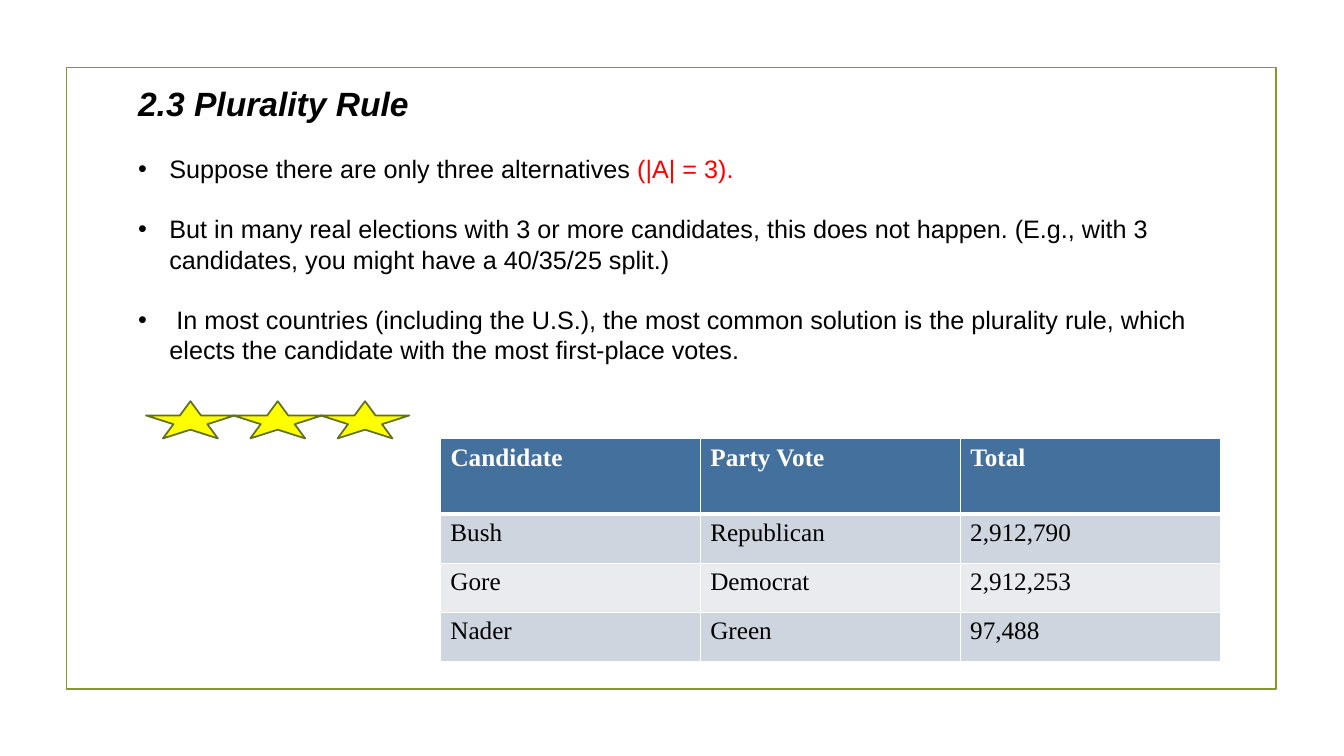
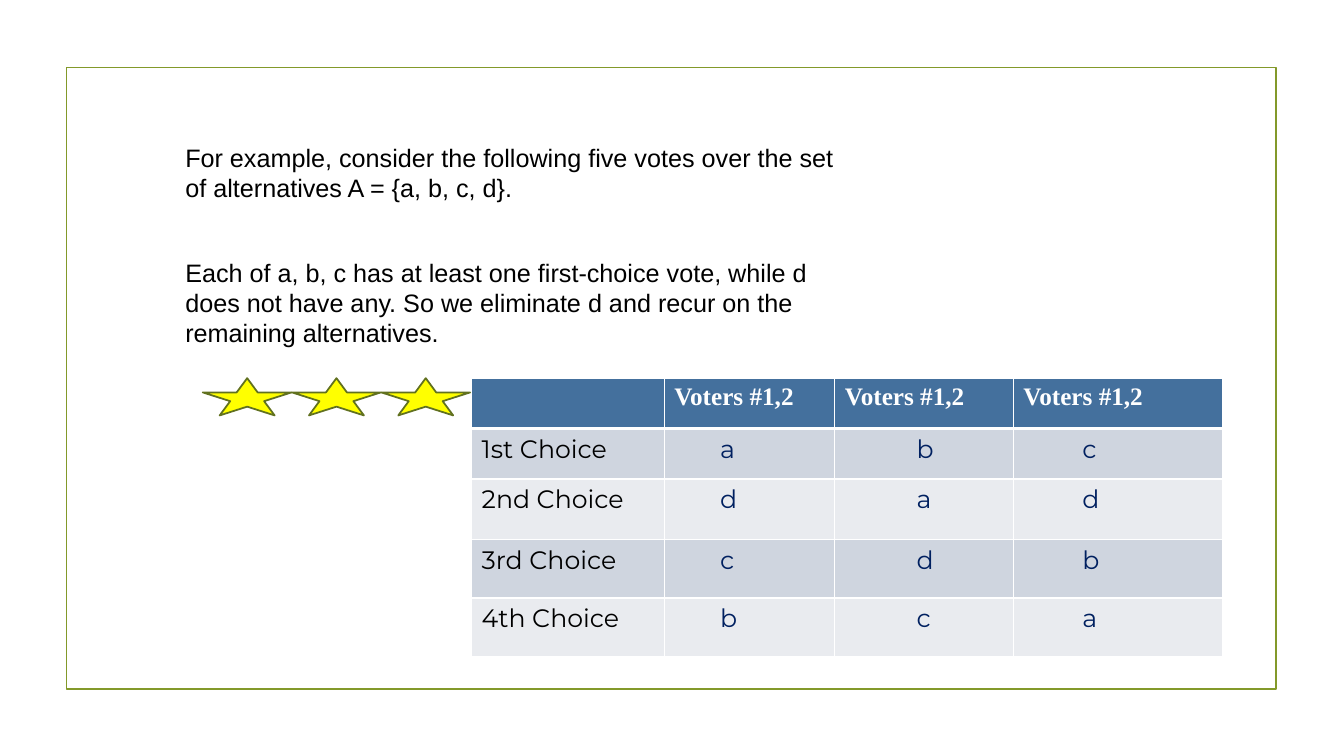
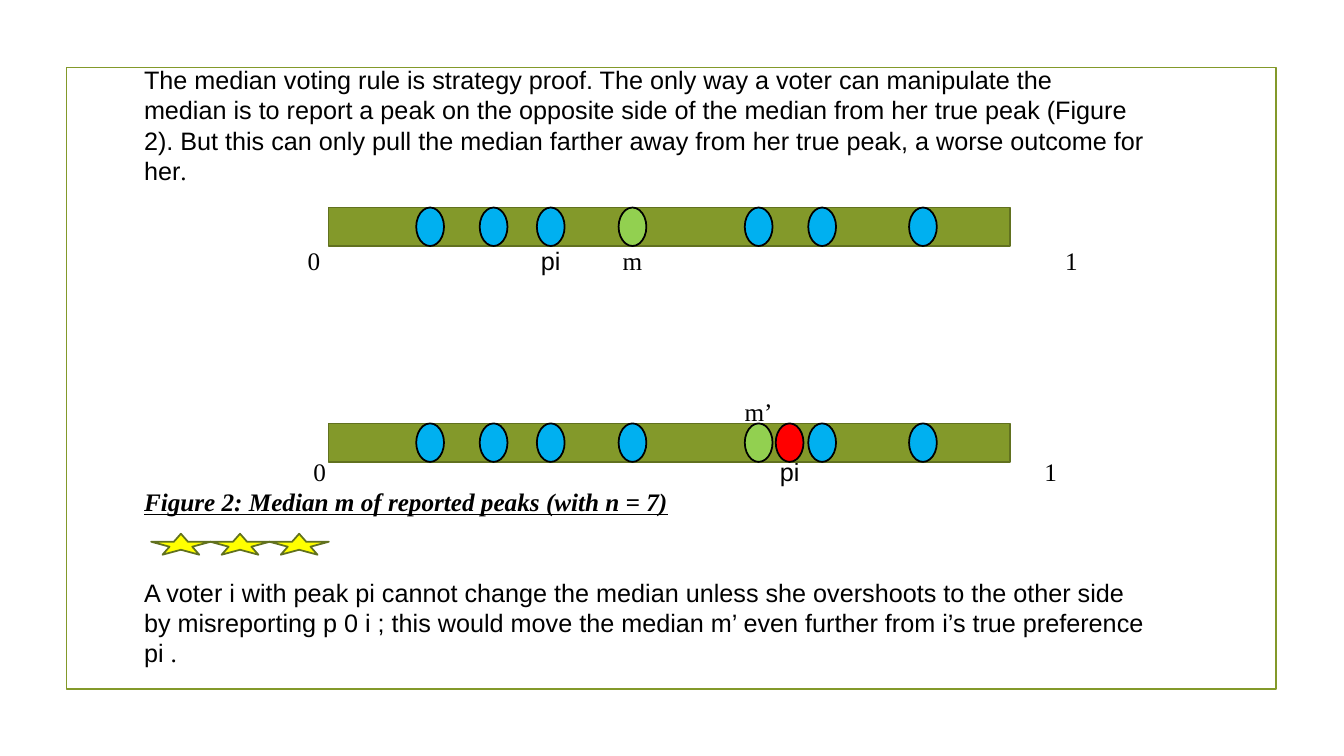
from dataclasses import dataclass, field

from lxml.etree import SubElement
from pptx import Presentation
from pptx.dml.color import RGBColor
from pptx.enum.shapes import MSO_SHAPE
from pptx.enum.text import MSO_ANCHOR, PP_ALIGN
from pptx.oxml.ns import qn
from pptx.shapes.autoshape import Shape
from pptx.slide import Slide
from pptx.table import _Cell
from pptx.text.text import _Paragraph
from pptx.util import Cm, Pt


@dataclass(frozen=True)
class Theme:
    sans: str = "Arial"
    serif: str = "Times New Roman"
    rounded: str = "Montserrat"
    title_size: float = 24
    body_size: float = 18
    leading: float = 1.2
    outline: float = 1.25
    grid_line: float = 1
    header_line: float = 3
    ink: str = "000000"
    paper: str = "FFFFFF"
    accent: str = "FF0000"
    navy: str = "002060"
    olive: str = "83992A"
    dark_olive: str = "61711F"
    star: str = "FFFF00"
    peak: str = "00B0F0"
    median: str = "92D050"
    header: str = "44709D"
    bands: tuple[str, str] = ("CFD5DF", "E9EBEF")


THEME = Theme()


@dataclass(frozen=True)
class Box:
    left: float
    top: float
    width: float
    height: float


@dataclass(frozen=True)
class Words:
    text: str
    font: str = THEME.sans
    color: str = THEME.ink
    size: float = THEME.body_size
    bold: bool = False
    italic: bool = False
    underline: bool = False
    break_after: bool = False


@dataclass(frozen=True)
class Para:
    runs: list[Words]
    bullet: bool = False
    space_before: float = 0
    align: PP_ALIGN = PP_ALIGN.LEFT


@dataclass(frozen=True)
class StarRow:
    left: float
    top: float
    pitch: float
    width: float = 2.24
    height: float = 0.94
    count: int = 3


@dataclass(frozen=True)
class VoteTable:
    box: Box
    widths: list[float]
    heights: list[float]
    rows: list[list[str]]
    font: str
    value_color: str = THEME.ink
    indents: dict[int, float] = field(default_factory=dict)


@dataclass(frozen=True)
class Label:
    text: str
    center: float
    line: int
    font: str = THEME.serif


@dataclass(frozen=True)
class PeakLine:
    top: float
    peaks: list[tuple[float, str]]
    labels: list[Label]


def add_run(paragraph: _Paragraph, words: Words) -> None:
    run = paragraph.add_run()
    run.text = words.text
    run.font.name = words.font
    run.font.size = Pt(words.size)
    run.font.bold = words.bold
    run.font.italic = words.italic
    run.font.underline = words.underline
    run.font.color.rgb = RGBColor.from_string(words.color)
    if words.break_after:
        paragraph.add_line_break()


def add_bullet(paragraph: _Paragraph) -> None:
    properties = paragraph._p.get_or_add_pPr()
    properties.set("marL", str(Cm(0.79)))
    properties.set("indent", str(Cm(-0.79)))
    SubElement(properties, qn("a:buFont"), typeface=THEME.sans)
    SubElement(properties, qn("a:buChar"), char="•")


def add_text(slide: Slide, box: Box, paras: list[Para]) -> None:
    frame = slide.shapes.add_textbox(
        Cm(box.left), Cm(box.top), Cm(box.width), Cm(box.height)
    ).text_frame
    frame.word_wrap = True
    for index, para in enumerate(paras):
        paragraph = frame.add_paragraph() if index else frame.paragraphs[0]
        if para.bullet:
            add_bullet(paragraph)
        paragraph.alignment = para.align
        paragraph.line_spacing = Pt(THEME.leading * para.runs[0].size)
        if para.space_before:
            paragraph.space_before = Pt(para.space_before)
        for words in para.runs:
            add_run(paragraph, words)


def add_figure(
    slide: Slide, kind: MSO_SHAPE, box: Box, fill: str | None, line: str
) -> Shape:
    figure = slide.shapes.add_shape(
        kind, Cm(box.left), Cm(box.top), Cm(box.width), Cm(box.height)
    )
    figure.shadow.inherit = False
    if fill:
        figure.fill.solid()
        figure.fill.fore_color.rgb = RGBColor.from_string(fill)
    else:
        figure.fill.background()
    figure.line.color.rgb = RGBColor.from_string(line)
    figure.line.width = Pt(THEME.outline)
    return figure


def add_stars(slide: Slide, stars: StarRow) -> None:
    for index in range(stars.count):
        box = Box(stars.left + index * stars.pitch, stars.top, stars.width, stars.height)
        add_figure(slide, MSO_SHAPE.STAR_5_POINT, box, THEME.star, THEME.dark_olive)


def add_borders(cell: _Cell, top: float, bottom: float) -> None:
    properties = cell._tc.get_or_add_tcPr()
    sides = {"L": THEME.grid_line, "R": THEME.grid_line, "T": top, "B": bottom}
    for side, width in sides.items():
        line = SubElement(properties, qn(f"a:ln{side}"), w=str(Pt(width)))
        fill = SubElement(line, qn("a:solidFill"))
        SubElement(fill, qn("a:srgbClr"), val=THEME.paper)


def add_vote_table(slide: Slide, votes: VoteTable) -> None:
    box = votes.box
    grid = slide.shapes.add_table(
        len(votes.heights), len(votes.widths),
        Cm(box.left), Cm(box.top), Cm(box.width), Cm(box.height),
    ).table
    grid.horz_banding = False
    for column, width in zip(grid.columns, votes.widths):
        column.width = Cm(width)
    for row, height in zip(grid.rows, votes.heights):
        row.height = Cm(height)
    for r, texts in enumerate(votes.rows):
        for c, text in enumerate(texts):
            cell = grid.cell(r, c)
            add_borders(
                cell,
                THEME.header_line if r == 1 else THEME.grid_line,
                THEME.header_line if r == 0 else THEME.grid_line,
            )
            cell.fill.solid()
            cell.fill.fore_color.rgb = RGBColor.from_string(
                THEME.bands[(r - 1) % 2] if r else THEME.header
            )
            cell.vertical_anchor = MSO_ANCHOR.TOP
            if r == 0:
                words = Words(text, THEME.serif, THEME.paper, bold=True)
            else:
                cell.margin_left = Cm(0.25 + votes.indents.get(c, 0))
                words = Words(text, votes.font, votes.value_color if c else THEME.ink)
            if text:
                add_run(cell.text_frame.paragraphs[0], words)


def line_top(line: int) -> float:
    return 1.5 + 0.76 * line


def add_peak_line(slide: Slide, scale: PeakLine) -> None:
    width, height = 0.7, 0.97
    for label in scale.labels:
        box = Box(label.center - 0.75, line_top(label.line), 1.5, 1.02)
        text = Para([Words(label.text, label.font)], align=PP_ALIGN.CENTER)
        add_text(slide, box, [text])
    bar = Box(8.28, scale.top, 17.17, height)
    add_figure(slide, MSO_SHAPE.RECTANGLE, bar, THEME.olive, THEME.dark_olive)
    for center, color in scale.peaks:
        peak = Box(center - width / 2, scale.top, width, height)
        add_figure(slide, MSO_SHAPE.OVAL, peak, color, THEME.ink)


def plurality_slide(slide: Slide) -> None:
    gap = THEME.leading * THEME.body_size
    points = [
        [
            Words("Suppose there are only three alternatives "),
            Words("(|A| = 3).", color=THEME.accent),
        ],
        [Words(
            "But in many real elections with 3 or more candidates, this does not happen. "
            "(E.g., with 3 candidates, you might have a 40/35/25 split.)"
        )],
        [Words(
            " In most countries (including the U.S.), the most common solution is the "
            "plurality rule, which elects the candidate with the most first-place votes."
        )],
    ]
    title = Words("2.3 Plurality Rule", size=THEME.title_size, bold=True, italic=True)
    add_text(
        slide,
        Box(3.23, 1.96, 27.51, 7.62),
        [Para([title])] + [Para(point, True, gap) for point in points],
    )
    add_vote_table(slide, VoteTable(
        Box(11.1, 11.05, 19.65, 5.64),
        [6.55] * 3,
        [1.9] + [1.24] * 3,
        [
            ["Candidate", "Party Vote", "Total"],
            ["Bush", "Republican", "2,912,790"],
            ["Gore", "Democrat", "2,912,253"],
            ["Nader", "Green", "97,488"],
        ],
        THEME.serif,
    ))
    add_stars(slide, StarRow(3.68, 10.11, 2.2))


def elimination_slide(slide: Slide) -> None:
    add_vote_table(slide, VoteTable(
        Box(11.89, 9.53, 18.92, 7.01),
        [4.85, 4.3, 4.5, 5.27],
        [1.27, 1.27, 1.53, 1.47, 1.47],
        [
            [""] + ["Voters #1,2"] * 3,
            ["1st Choice", "a", "b", "c"],
            ["2nd Choice", "d", "a", "d"],
            ["3rd Choice", "c", "d", "b"],
            ["4th Choice", "b", "c", "a"],
        ],
        THEME.rounded,
        THEME.navy,
        {1: 1.16, 2: 1.81, 3: 1.49},
    ))
    add_text(slide, Box(4.42, 3.45, 16.94, 1.8), [Para([Words(
        "For example, consider the following five votes over the set of alternatives "
        "A = {a, b, c, d}."
    )])])
    add_text(slide, Box(4.42, 6.35, 16.94, 2.57), [Para([Words(
        "Each of a, b, c has at least one first-choice vote, while d does not have any. "
        "So we eliminate d and recur on the remaining alternatives."
    )])])
    add_stars(slide, StarRow(5.11, 9.53, 2.25))


def median_slide(slide: Slide) -> None:
    left, width = 3.38, 25.93
    full_stop = Words(".", THEME.serif)
    add_text(slide, Box(left, line_top(0), width, 3.3), [Para([
        Words(
            "The median voting rule is strategy proof. The only way a voter can "
            "manipulate the", break_after=True,
        ),
        Words(
            "median is to report a peak on the opposite side of the median from her true "
            "peak (Figure 2). But this can only pull the median farther away from her "
            "true peak, a worse outcome for her"
        ),
        full_stop,
    ])])
    centers = [10.84, 12.44, 13.88, 15.94, 19.12, 20.72, 23.26]
    true_peak, median, moved_median, false_peak = centers[2], centers[3], centers[4], 19.9

    def colored(chosen: float) -> list[tuple[float, str]]:
        return [(x, THEME.median if x == chosen else THEME.peak) for x in centers]

    add_peak_line(slide, PeakLine(5.23, colored(median), [
        Label("0", 7.91, 6),
        Label("pi", true_peak, 6, THEME.sans),
        Label("m", median, 6),
        Label("1", 27, 6),
    ]))
    add_peak_line(slide, PeakLine(
        10.67,
        colored(moved_median) + [(false_peak, THEME.accent)],
        [
            Label("m’", moved_median, 11),
            Label("0", 8.06, 13),
            Label("pi", false_peak, 13, THEME.sans),
            Label("1", 26.48, 13),
        ],
    ))
    add_text(slide, Box(left, line_top(14), width, 1.02), [Para([Words(
        "Figure 2: Median m of reported peaks (with n = 7)",
        THEME.serif, bold=True, italic=True, underline=True,
    )])])
    add_stars(slide, StarRow(3.81, 13.45, 1.49, 1.5, 0.53))
    add_text(slide, Box(left, line_top(17), width, 2.54), [Para([
        Words(
            "A voter i with peak pi cannot change the median unless she overshoots to the "
            "other side by misreporting p 0 i ; this would move the median m’ even "
            "further from i’s true preference pi "
        ),
        full_stop,
    ])])


def main() -> None:
    deck = Presentation()
    deck.slide_width, deck.slide_height = Cm(33.87), Cm(19.05)
    blank = deck.slide_layouts[6]
    for placeholder in list(blank.placeholders):
        blank.shapes.element.remove(placeholder.element)
    slides = [deck.slides.add_slide(blank) for _ in range(3)]
    border = add_figure(
        slides[0], MSO_SHAPE.RECTANGLE, Box(1.68, 1.7, 30.48, 15.67), None, THEME.olive
    )
    blank.shapes.element.append(border.element)
    for slide, build in zip(slides, (plurality_slide, elimination_slide, median_slide)):
        build(slide)
    deck.save("out.pptx")


if __name__ == "__main__":
    main()
